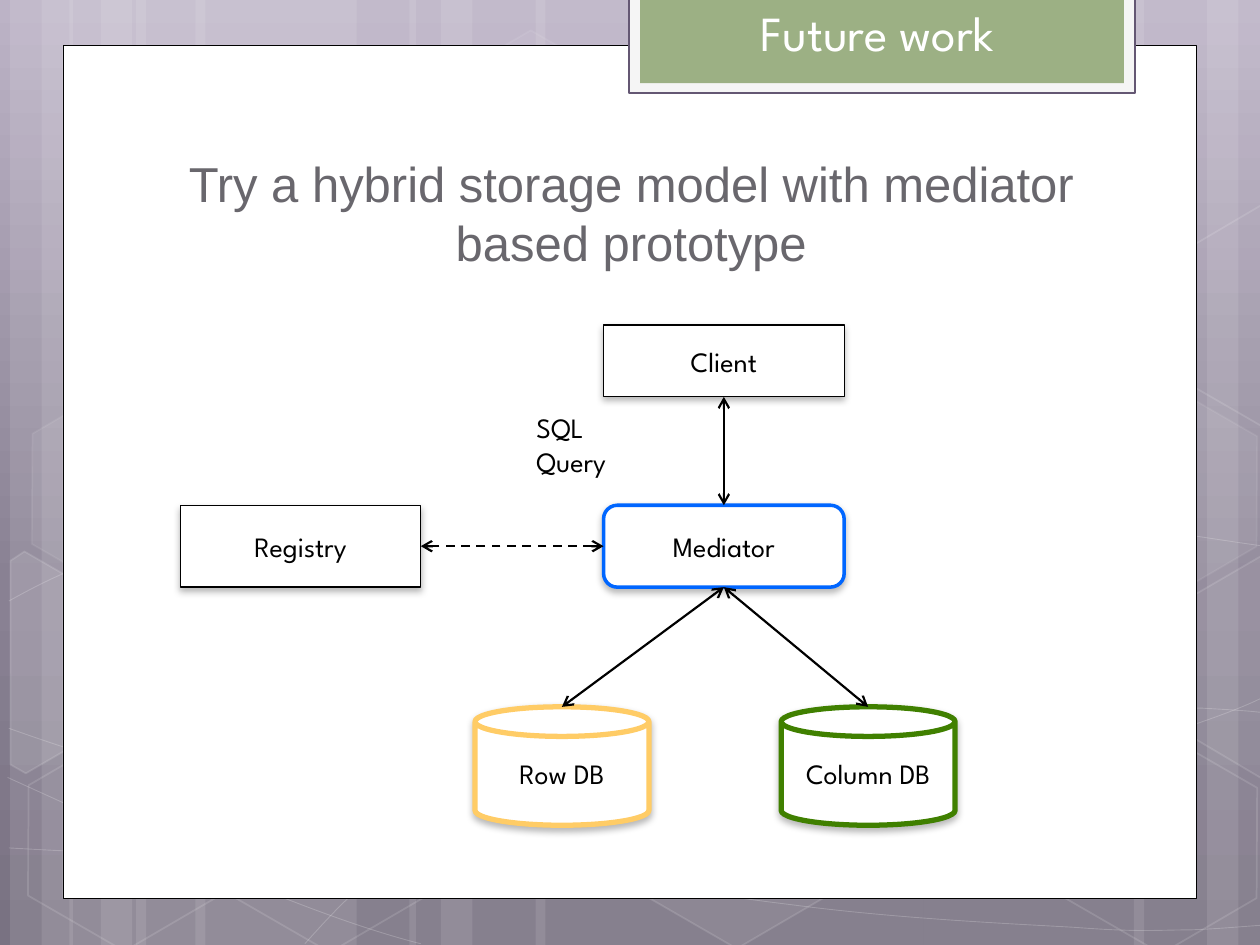
"""Build the "Future work" slide: a hybrid storage model with a mediator."""
from copy import deepcopy
from dataclasses import dataclass
from math import cos, radians, sin
from typing import NamedTuple, Optional

from lxml.etree import SubElement as Sub
from pptx import Presentation
from pptx.dml.color import RGBColor as Rgb
from pptx.enum.dml import MSO_LINE_DASH_STYLE as Dash
from pptx.enum.shapes import MSO_CONNECTOR as Wire, MSO_SHAPE as Kind
from pptx.enum.text import MSO_ANCHOR as Anchor, MSO_AUTO_SIZE as Fit, PP_ALIGN as Align
from pptx.oxml.ns import qn
from pptx.util import Pt

PX = 9144
WIDE, HIGH = 1000, 750
TILT = 30


@dataclass(frozen=True)
class Theme:
    white: str = "FFFFFF"
    black: str = "000000"
    frame: str = "F5F5F5"
    edge: str = "645773"
    tab: str = "9CB084"
    gray: str = "69676D"
    blue: str = "0066FF"
    gold: str = "FFCC66"
    green: str = "408000"
    sky: tuple = ((0, "BCB3C6"), (0.62, "898193"), (1, "797282"))
    head: str = "League Spartan"
    lead: str = "Arial"
    big: int = 28
    small: int = 16


T = Theme()


class Node(NamedTuple):
    name: str
    kind: Kind
    area: tuple
    color: str = T.black
    width: float = 0.75


class Link(NamedTuple):
    start: int
    goal: str
    end: int
    glue: bool = True
    dash: bool = False


class Hex(NamedTuple):
    left: int
    top: int
    fill: Optional[int]
    line: int


class Part(NamedTuple):
    hub: tuple
    points: tuple
    fill: Optional[int]


BANDS = ((108, 175), (8, 50), (33, 83), (155, 175), (55, 50), (80, 83), (733, 175),
         (958, 50), (900, 83), (425, 308), (325, 50), (350, 83))

CURVES = (
    ((7, 673), (61, 676), (115, 679), (190, 678), (265, 677), (358, 675), (458, 665),
     (558, 655), (700, 636), (792, 617), (883, 598), (977, 568), (1007, 551)),
    ((7, 477), (36, 461), (65, 446), (121, 431), (178, 416), (259, 394), (347, 387),
     (436, 380), (544, 379), (654, 387), (764, 395), (947, 426), (1007, 434)),
    ((6, 617), (127, 672), (247, 727), (334, 749)),
    ((7, 578), (38, 589), (70, 600), (128, 616), (186, 631), (273, 656), (357, 673),
     (440, 690), (545, 708), (628, 718), (711, 729), (800, 733), (853, 736),
     (905, 740), (919, 738), (945, 738), (971, 737), (989, 735), (1007, 734)),
    ((242, 749), (260, 729), (278, 709), (302, 691), (326, 673), (360, 653), (388, 639),
     (416, 625), (433, 619), (470, 609), (506, 599), (573, 585), (608, 578),
     (644, 571), (649, 571), (680, 569), (711, 566), (760, 563), (794, 562),
     (829, 561), (886, 562), (886, 562), (908, 562), (931, 562), (953, 562),
     (971, 563), (988, 564), (997, 565), (1006, 566), (1003, 565), (1006, 566)),
)

HEXES = (Hex(334, 36, 4, 8), Hex(497, 589, 6, 12), Hex(11, 591, None, 12),
         Hex(14, 312, 7, 8), Hex(174, 592, None, 12), Hex(753, 453, 10, 12),
         Hex(834, 593, None, 12), Hex(834, 314, 7, 8))

PARTS = (
    Part((36, 535), ((8, 445), (19, 438), (96, 482), (95, 570), (20, 614), (8, 607)), 10),
    Part((985, 520), ((926, 485), (1001, 441), (1009, 446), (1009, 613), (1002, 617),
                      (926, 573)), 4),
    Part((985, 241), ((926, 207), (1001, 163), (1010, 168), (1009, 335), (1002, 339),
                      (926, 295)), None),
)

NODES = (
    Node("Client", Kind.RECTANGLE, (479, 258, 191, 57)),
    Node("Row DB", Kind.CAN, (377, 561, 138, 94), T.gold, 3),
    Node("Column DB", Kind.CAN, (620, 561, 138, 94), T.green, 3),
    Node("Mediator", Kind.ROUNDED_RECTANGLE, (479, 401, 191, 65), T.blue, 2),
    Node("Registry", Kind.RECTANGLE, (143, 401, 191, 65)),
)

LINKS = (Link(1, "Registry", 3, dash=True), Link(0, "Client", 2),
         Link(2, "Column DB", 0, glue=False), Link(2, "Row DB", 0, glue=False))


def emu(*sizes: int) -> list:
    """Turn px into EMU."""
    return [size * PX for size in sizes]


def fade(host, alpha: Optional[int]) -> None:
    """Set the opacity, in percent, of the solid fill held by host."""
    if alpha is not None:
        Sub(host.find(qn("a:solidFill"))[0], qn("a:alpha"), val=str(alpha * 1000))


def paint(shape, fill=None, line=None, width=1.0, alpha=None, mist=None) -> None:
    """Give a shape its fill and line, each with an optional opacity."""
    shape.shadow.inherit = False
    if fill:
        shape.fill.solid()
        shape.fill.fore_color.rgb = Rgb.from_string(fill)
        fade(shape._element.spPr, alpha)
    else:
        shape.fill.background()
    if line:
        shape.line.color.rgb = Rgb.from_string(line)
        shape.line.width = Pt(width)
        fade(shape.line._get_or_add_ln(), mist)
    else:
        shape.line.fill.background()


def block(slide, kind: Kind, area: tuple, **look):
    """Add a painted preset shape."""
    shape = slide.shapes.add_shape(kind, *emu(*area))
    paint(shape, **look)
    return shape


def trace(slide, points: tuple, close: bool, **look):
    """Add a painted outline through the points."""
    pen = slide.shapes.build_freeform(*points[0], scale=PX)
    pen.add_line_segments(points[1:], close=close)
    shape = pen.convert_to_shape()
    paint(shape, **look)
    return shape


def bend(shape) -> None:
    """Turn each three straight segments of an outline into one cubic curve."""
    lines = list(shape._element.iter(qn("a:lnTo")))
    for i in range(0, len(lines), 3):
        curve = Sub(lines[i].getparent(), qn("a:cubicBezTo"))
        for line in lines[i:i + 3]:
            curve.append(line[0])
            line.getparent().remove(line)


def turn(part: Part) -> list:
    """Give the points of a part before it is tilted about its hub."""
    c, s, (x, y) = cos(radians(TILT)), sin(radians(TILT)), part.hub
    return [(x + (a - x) * c + (b - y) * s, y - (a - x) * s + (b - y) * c)
            for a, b in part.points]


def write(shape, text: str, *, size=T.small, color=T.black, font=T.head,
          align=Align.CENTER, anchor=Anchor.MIDDLE, fit=Fit.NONE) -> None:
    """Put formatted text in a shape."""
    frame = shape.text_frame
    frame.word_wrap, frame.auto_size, frame.vertical_anchor = True, fit, anchor
    line = frame.paragraphs[0]
    line.alignment = align
    run = line.add_run()
    run.text = text
    run.font.size, run.font.name = Pt(size), font
    run.font.color.rgb = Rgb.from_string(color)


def label(slide, text: str, area: tuple, **form) -> None:
    """Add a text box that grows with its text."""
    box = slide.shapes.add_textbox(*emu(*area))
    write(box, text, anchor=Anchor.TOP, fit=Fit.SHAPE_TO_FIT_TEXT, **form)


def shade(shape) -> None:
    """Add a soft shadow below a shape."""
    drop = Sub(shape._element.spPr.find(qn("a:effectLst")), qn("a:outerShdw"),
               blurRad="50800", dist="25400", dir="5400000", rotWithShape="0")
    Sub(Sub(drop, qn("a:srgbClr"), val=T.black), qn("a:alpha"), val="28000")


def join(slide, hub, goal, link: Link) -> None:
    """Draw a two-headed arrow from the hub to a node."""
    wire = slide.shapes.add_connector(Wire.STRAIGHT, 0, 0, goal.left + goal.width // 2, goal.top)
    wire.begin_connect(hub, link.start)
    if link.glue:
        wire.end_connect(goal, link.end)
    wire.line.color.rgb = Rgb.from_string(T.black)
    wire.line.width = Pt(1.25)
    if link.dash:
        wire.line.dash_style = Dash.DASH
    for end in ("a:headEnd", "a:tailEnd"):
        Sub(wire.line._get_or_add_ln(), qn(end), type="arrow")
    Sub(wire._element.spPr, qn("a:effectLst"))


def scene(slide) -> None:
    """Draw the backdrop, the page and the tab behind the title."""
    fill = slide.background.fill
    fill.gradient()
    fill.gradient_angle = 270
    first = fill.gradient_stops[0]._gs
    first.addnext(deepcopy(first))
    for stop, (place, color) in zip(fill.gradient_stops, T.sky):
        stop.position, stop.color.rgb = place, Rgb.from_string(color)
    for left, width in BANDS:
        block(slide, Kind.RECTANGLE, (left, 0, width, HIGH), fill=T.white, alpha=10)
    for knots in CURVES:
        bend(trace(slide, knots, False, line=T.white, width=0.5, mist=20))
    for left, top, alpha, mist in HEXES:
        cell = block(slide, Kind.HEXAGON, (left, top, 175, 152), line=T.white, mist=mist,
                     fill=T.white if alpha else None, alpha=alpha)
        cell.rotation = TILT
        cell.adjustments[0], cell.adjustments[1] = 0.285, 1.155
    for part in PARTS:
        trace(slide, turn(part), True, line=T.white, mist=12, alpha=part.fill,
              fill=T.white if part.fill else None).rotation = TILT
    block(slide, Kind.RECTANGLE, (50, 36, 900, 677), fill=T.white, line=T.black, width=0.5)
    block(slide, Kind.RECTANGLE, (499, -2, 402, 76), fill=T.frame, line=T.edge, width=1.25)
    block(slide, Kind.RECTANGLE, (508, -2, 384, 68), fill=T.tab)


def main() -> None:
    """Build and save the deck."""
    deck = Presentation()
    deck.slide_width, deck.slide_height = emu(WIDE, HIGH)
    slide = deck.slides.add_slide(deck.slide_layouts[5])
    scene(slide)
    title = slide.shapes.title
    slide.shapes._spTree.append(title._element)
    title.left, title.top, title.width, title.height = emu(525, 0, 342, 54)
    write(title, "Future work", size=T.big, color=T.white, anchor=Anchor.BOTTOM)
    label(slide, "Try a hybrid storage model with mediator based prototype",
          (101, 117, 800, 104), size=T.big, color=T.gray, font=T.lead)
    nodes = {}
    for node in NODES:
        shape = block(slide, node.kind, node.area, fill=T.white, line=node.color, width=node.width)
        shade(shape)
        write(shape, node.name)
        nodes[node.name] = shape
    for link in LINKS:
        join(slide, nodes["Mediator"], nodes[link.goal], link)
    label(slide, "SQL Query", (416, 321, 100, 64), align=Align.LEFT)
    deck.save("out.pptx")


if __name__ == "__main__":
    main()
